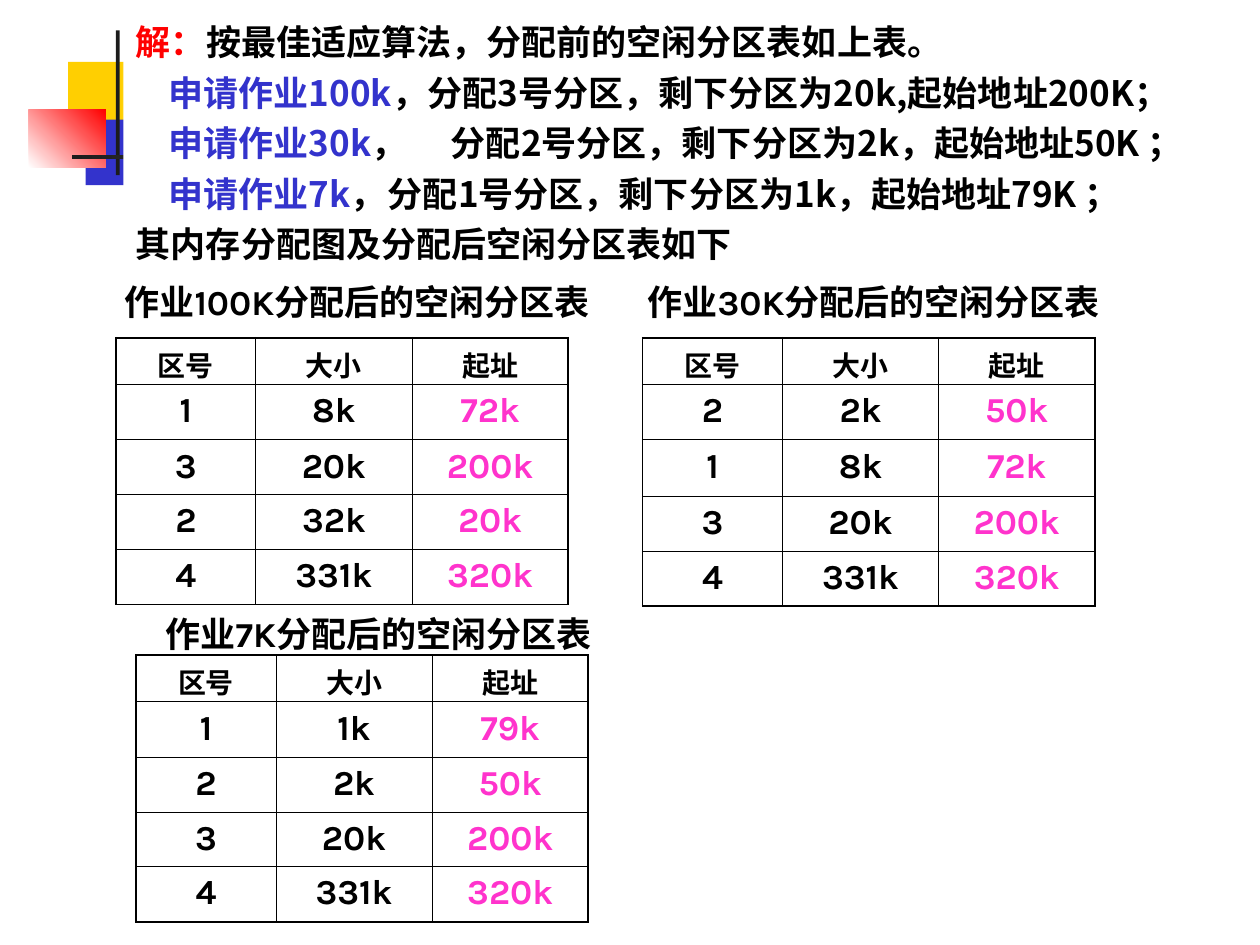
from lxml import etree
from pptx import Presentation
from pptx import util as u
from pptx.dml.color import RGBColor
from pptx.enum import shapes, text
from pptx.oxml.ns import qn

BLACK, WHITE, RED, BLUE = "000000", "FFFFFF", "FF0000", "3333CC"
YELLOW, CHARCOAL, PINK = "FFCF01", "1C1C1C", "FF33CC"
LATIN, CJK = "Karla", "Noto Sans CJK SC"
COLUMN_WIDTHS = (1.11, 1.24, 1.24)
HEADINGS = ("区号", "大小", "起址")
THIN, THICK = 0.45, 1.08


def rgb(hex_colour):
    return RGBColor.from_string(hex_colour)


def inches(*lengths):
    return [u.Inches(length) for length in lengths]


def write(paragraph, words, size=20, colour=BLACK, font=LATIN):
    """Add a bold run to a paragraph."""
    run = paragraph.add_run()
    run.text = words
    run.font.size, run.font.bold, run.font.name = u.Pt(size), True, font
    run.font.color.rgb = rgb(colour)
    east_asian = etree.SubElement(run.font._element, qn("a:ea"))
    east_asian.set("typeface", CJK)


def add_block(slide, place, colour, end_colour=None, angle=0):
    """Add a decorative rectangle, plain or with a gradient."""
    block = slide.shapes.add_shape(shapes.MSO_SHAPE.RECTANGLE, *inches(*place))
    block.shadow.inherit = False
    block.line.fill.background()
    if end_colour is None:
        block.fill.solid()
        block.fill.fore_color.rgb = rgb(colour)
        return
    block.fill.gradient()
    block.fill.gradient_angle = angle
    for stop, stop_colour in zip(block.fill.gradient_stops, (colour, end_colour)):
        stop.color.rgb = rgb(stop_colour)


def add_text_frame(slide, place, fill=None):
    box = slide.shapes.add_textbox(*inches(*place))
    box.text_frame.word_wrap = True
    if fill:
        box.fill.solid()
        box.fill.fore_color.rgb = rgb(fill)
    return box.text_frame


def add_solution(slide, place, lines):
    """Add the worked answer; each line is (first-line indent, coloured runs)."""
    frame = add_text_frame(slide, place, WHITE)
    for number, (indent, runs) in enumerate(lines):
        paragraph = frame.add_paragraph() if number else frame.paragraphs[0]
        paragraph.line_spacing = 1.2
        properties = paragraph._p.get_or_add_pPr()
        properties.set("indent", str(u.Inches(indent)))
        if indent:
            tabs = etree.SubElement(properties, qn("a:tabLst"))
            etree.SubElement(tabs, qn("a:tab"), pos=str(u.Inches(2.4)), algn="l")
        for words, colour in runs:
            write(paragraph, words, colour=colour, font=CJK)


def add_caption(slide, left, top, job):
    paragraph = add_text_frame(slide, (left, top, 4.17, 0.44)).paragraphs[0]
    paragraph.alignment = text.PP_ALIGN.CENTER
    write(paragraph, f"作业{job}分配后的空闲分区表")


def set_borders(cell, widths):
    properties = cell._tc.get_or_add_tcPr()
    # Border lines must come before the fill
    for position, (side, width) in enumerate(widths.items()):
        line = etree.Element(qn(f"a:ln{side}"), w=str(u.Pt(width)))
        fill = etree.SubElement(line, qn("a:solidFill"))
        etree.SubElement(fill, qn("a:srgbClr"), val=BLACK)
        properties.insert(position, line)


def add_partition_table(slide, left, top, partitions, heights):
    """Add a free-partition table: thick outer frame, thin inner lines."""
    rows = [HEADINGS, *partitions]
    last_row, last_column = len(rows) - 1, len(HEADINGS) - 1
    table = slide.shapes.add_table(
        len(rows), len(HEADINGS),
        *inches(left, top, sum(COLUMN_WIDTHS), sum(heights))).table
    table.first_row = table.horz_banding = False
    for column, width in zip(table.columns, COLUMN_WIDTHS):
        column.width = u.Inches(width)
    for r, values in enumerate(rows):
        table.rows[r].height = u.Inches(heights[r])
        for c, value in enumerate(values):
            cell = table.cell(r, c)
            cell.fill.background()
            set_borders(cell, {
                "L": THIN if c else THICK,
                "R": THICK if c == last_column else THIN,
                "T": THIN if r else THICK,
                "B": THICK if r == last_row else THIN,
            })
            paragraph = cell.text_frame.paragraphs[0]
            paragraph.alignment = text.PP_ALIGN.CENTER
            write(paragraph, value, size=20 if r else 16,
                  colour=PINK if r and c == last_column else BLACK)


def main():
    prs = Presentation()
    prs.slide_width, prs.slide_height = inches(10, 7.5)
    slide = prs.slides.add_slide(prs.slide_layouts[6])

    # Corner decoration
    add_block(slide, (0.54, 0.49, 0.48, 0.52), YELLOW)
    add_block(slide, (0.96, 0.49, 0.36, 0.52), YELLOW, WHITE)
    add_block(slide, (0.68, 0.95, 0.46, 0.52), BLUE)
    add_block(slide, (0.23, 0.87, 0.61, 0.46), WHITE, RED, angle=45)
    add_block(slide, (0.92, 0.24, 0.03, 1.15), CHARCOAL)
    add_block(slide, (0.57, 1.23, 9, 0.03), CHARCOAL, WHITE)

    # Worked answer
    steps = [
        ("100k", "，分配3号分区，剩下分区为20k,起始地址200K；"),
        ("30k", "，\t分配2号分区，剩下分区为2k，起始地址50K ；"),
        ("7k", "，\t分配1号分区，剩下分区为1k，起始地址79K ；"),
    ]
    add_solution(slide, (0.98, 0.05, 9.02, 2.9), [
        (0, [("解：", RED), ("按最佳适应算法，分配前的空闲分区表如上表。", BLACK)]),
        *[(0.26, [(f"申请作业{job}", BLUE), (result, BLACK)]) for job, result in steps],
        (0, [("其内存分配图及分配后空闲分区表如下", BLACK)]),
    ])

    # Free partitions after each allocation
    heights = (0.37, 0.44, 0.43, 0.43, 0.44)
    third, fourth = ("3", "20k", "200k"), ("4", "331k", "320k")
    add_partition_table(slide, 0.92, 2.68, [
        ("1", "8k", "72k"), third, ("2", "32k", "20k"), fourth], heights)
    add_caption(slide, 0.75, 2.18, "100K")
    add_partition_table(slide, 5.1, 2.68, [
        ("2", "2k", "50k"), ("1", "8k", "72k"), third, fourth],
        (0.37, 0.44, 0.45, 0.43, 0.43))
    add_caption(slide, 4.85, 2.18, "30K")
    add_partition_table(slide, 1.08, 5.2, [
        ("1", "1k", "79k"), ("2", "2k", "50k"), third, fourth], heights)
    add_caption(slide, 0.92, 4.81, "7K")

    prs.save("out.pptx")


if __name__ == "__main__":
    main()
